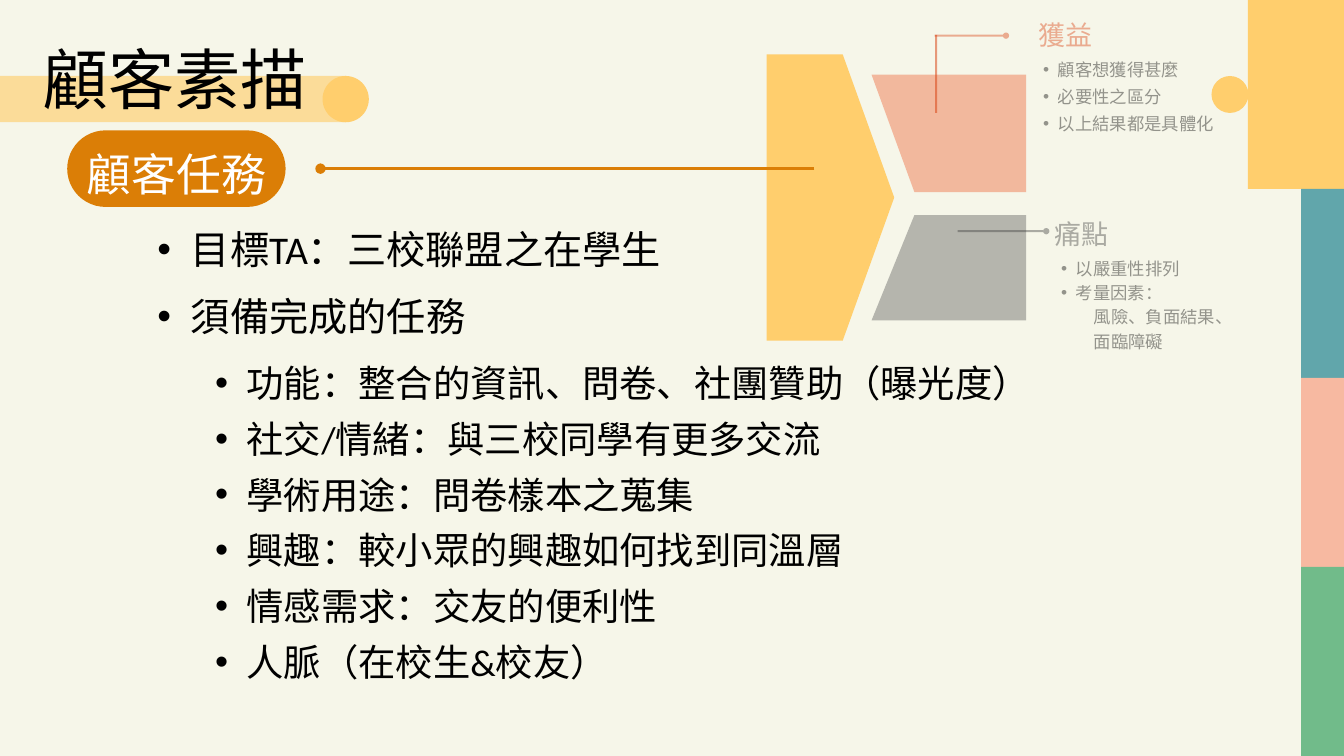
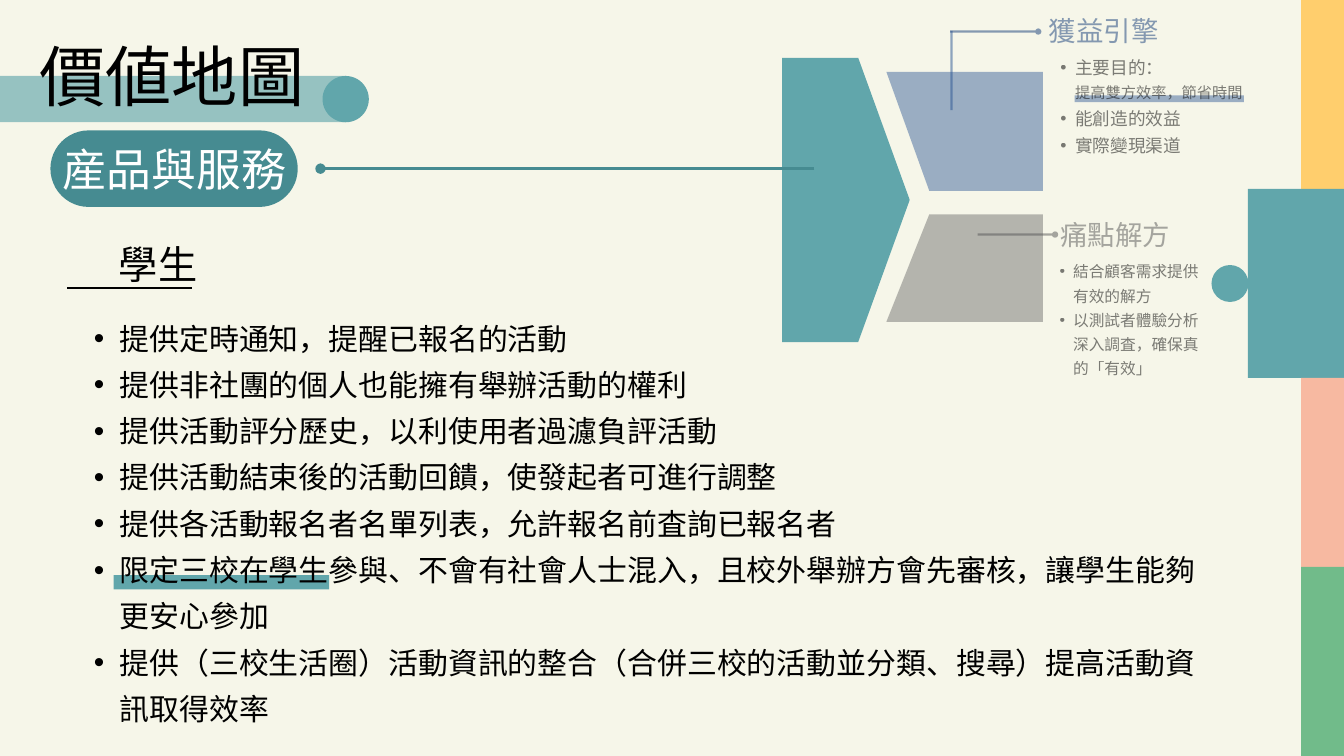
from pptx import Presentation
from pptx.dml.color import RGBColor
from pptx.enum.shapes import MSO_CONNECTOR, MSO_SHAPE
from pptx.enum.text import MSO_ANCHOR, MSO_AUTO_SIZE, PP_ALIGN
from pptx.oxml.ns import qn
from pptx.util import Pt
from lxml.etree import SubElement

WIDE, HIGH = 1440, 810
HEX = {
    "cream": "F6F6E9", "gold": "FFCE6D", "teal": "61A6AB", "rose": "F7B9A1",
    "green": "71BB8A", "black": "000000", "white": "FFFFFF", "amber": "DB7E06",
    "deep": "468B91", "coral": "ED5B2D", "rust": "D83B0A", "coal": "383838",
    "slate": "545454", "grey": "737373", "blue": "3F659D", "navy": "133C79",
    "royal": "255192",
}
TABS = ["gold", "teal", "rose", "green"]
FRAME = {
    "word_wrap": True, "auto_size": MSO_AUTO_SIZE.NONE,
    "vertical_anchor": MSO_ANCHOR.TOP,
    "margin_left": 0, "margin_right": 0, "margin_top": 0, "margin_bottom": 0,
}
PLAIN = {"size": 32, "color": "black", "alpha": 100, "lead": None,
         "align": PP_ALIGN.LEFT, "left": 0, "hang": 0}
TITLE = {"size": 70.9, "lead": 87.2, "align": PP_ALIGN.CENTER}


def apply(item, values):
    for name, value in values.items():
        setattr(item, name, value)


def rgb(name):
    return RGBColor.from_string(HEX[name])


def fade(node, alpha):
    if alpha < 100:
        for color in node.iter(qn("a:srgbClr")):
            SubElement(color, qn("a:alpha"), val=str(alpha * 1000))


def paint(shape, color, alpha=100):
    shape.shadow.inherit = False
    shape.line.fill.background()
    shape.fill.solid()
    shape.fill.fore_color.rgb = rgb(color)
    fade(shape.element.spPr, alpha)
    return shape


def block(slide, kind, box, color, alpha=100):
    shape = slide.shapes.add_shape(kind, *map(Pt, box))
    return paint(shape, color, alpha)


def shard(slide, points, color, alpha=100):
    spots = [(Pt(x), Pt(y)) for x, y in points]
    pen = slide.shapes.build_freeform(*spots[0])
    pen.add_line_segments(spots[1:], close=True)
    paint(pen.convert_to_shape(), color, alpha)


def wedge(slide, left, top, base, color):
    neck, tip = left + 81.4, left + 136.6
    shard(slide, [(left, top), (neck, top), (tip, (top + base) / 2),
                  (neck, base), (left, base)], color)


def flank(slide, left, right, outer, inner, color, alpha):
    shard(slide, [(left, outer), (right, outer), (right, inner),
                  (left + 46, inner)], color, alpha)


def rule(slide, start, end, color, width=2.25, alpha=100, dot=False):
    line = slide.shapes.add_connector(
        MSO_CONNECTOR.STRAIGHT, *map(Pt, start + end))
    line.line.width = Pt(width)
    line.line.color.rgb = rgb(color)
    props = line.element.spPr
    fade(props, alpha)
    if dot:
        SubElement(props.find(qn("a:ln")), qn("a:tailEnd"), type="oval")
    SubElement(props, qn("a:effectLst"))


def write(frame, lines, style):
    apply(frame, FRAME)
    for index, line in enumerate(lines):
        text, extra = line if isinstance(line, tuple) else (line, {})
        look = {**PLAIN, **style, **extra}
        para = frame.paragraphs[0] if index == 0 else frame.add_paragraph()
        props = para._p.get_or_add_pPr()
        props.set("marL", str(Pt(look["left"])))
        props.set("indent", str(-Pt(look["hang"])))
        if look["hang"]:
            SubElement(props, qn("a:buFont"), typeface="Arial")
            SubElement(props, qn("a:buChar"), char="•")
        apply(para, {"alignment": look["align"], "space_before": Pt(0)})
        if look["lead"]:
            para.line_spacing = Pt(look["lead"])
        run = para.add_run()
        run.text = text
        apply(run.font, {"name": "Calibri", "size": Pt(look["size"])})
        run.font.color.rgb = rgb(look["color"])
        fade(run._r, look["alpha"])


def note(slide, box, lines, **style):
    shape = slide.shapes.add_textbox(*map(Pt, box))
    write(shape.text_frame, lines, style)


def fill(shape, box, lines, **style):
    apply(shape, dict(zip(("left", "top", "width", "height"), map(Pt, box))))
    write(shape.text_frame, lines, style)
    shape.element.getparent().append(shape.element)


def head(slide, box, text, **style):
    note(slide, box, [text], align=PP_ALIGN.CENTER, **style)


def side(slide, active):
    step = HIGH / len(TABS)
    for index, color in enumerate(TABS):
        left = 1337 if index == active else 1394
        block(slide, MSO_SHAPE.RECTANGLE,
              (left, index * step, WIDE - left, step), color)
    block(slide, MSO_SHAPE.OVAL,
          (1298, (active + 0.5) * step - 19.8, 39.6, 39.6), TABS[active])


def band(slide, color):
    block(slide, MSO_SHAPE.RECTANGLE, (0, 81.4, 370.8, 49.4), color, 64)
    block(slide, MSO_SHAPE.OVAL, (345.6, 81.4, 49.6, 49.6), color)


def pill(slide, left, width, text, color, lead=None):
    rule(slide, (872.6, 180.7), (343.4, 180.7), color, 3.75, dot=True)
    shape = block(slide, MSO_SHAPE.ROUNDED_RECTANGLE,
                  (left, 139.7, width, 82), color)
    shape.adjustments[0] = 0.5
    write(shape.text_frame, [text],
          {"size": 48, "color": "white", "align": PP_ALIGN.CENTER, "lead": lead})
    shape.text_frame.vertical_anchor = MSO_ANCHOR.MIDDLE


def start(deck, active):
    slide = deck.slides.add_slide(deck.slide_layouts[1])
    side(slide, active)
    band(slide, TABS[active])
    return slide


def persona(deck):
    slide = start(deck, 0)
    fill(slide.placeholders[1], (196.6, 373.7, 945.4, 355.7), [
        "功能：整合的資訊、問卷、社團贊助（曝光度）",
        "社交/情緒：與三校同學有更多交流",
        "學術用途：問卷樣本之蒐集",
        "興趣：較小眾的興趣如何找到同溫層",
        "情感需求：交友的便利性",
        "人脈（在校生&校友）",
    ], size=40, lead=59.9, left=67.7, hang=33.8)
    note(slide, (133.2, 220.3, 601.2, 137.5),
         ["目標TA：三校聯盟之在學生", "須備完成的任務"],
         size=42, lead=71.8, left=71.3, hang=36)
    flank(slide, 933.8, 1099.4, 343.4, 230.4, "slate", 40)
    flank(slide, 933.8, 1099.4, 79.9, 205.9, "coral", 40)
    rule(slide, (1001.5, 38.2), (1077.8, 38.2), "rust", alpha=40, dot=True)
    rule(slide, (1003, 37.4), (1003, 121), "rust", alpha=50)
    rule(slide, (1026, 247.7), (1121, 247.7), "coal", alpha=40, dot=True)
    label = {"size": 28.9, "lead": 35.6, "alpha": 40}
    small = {"size": 18.6, "alpha": 40, "left": 31.7, "hang": 15.8}
    head(slide, (1101.6, 18.7, 80.6, 36.7), "獲益", color="rust", **label)
    note(slide, (1101.6, 56.9, 214.6, 85.7),
         ["顧客想獲得甚麼", "必要性之區分", "以上結果都是具體化"],
         lead=28.8, **small)
    head(slide, (1121, 231.8, 75.6, 36.7), "痛點", color="coal", **label)
    inner = {"left": 51, "hang": 0}
    note(slide, (1121, 272.9, 216, 103.7),
         ["以嚴重性排列", "考量因素：",
          ("風險、負面結果、", inner), ("面臨障礙", inner)],
         lead=26, **small)
    wedge(slide, 821.5, 58.3, 365, "gold")
    pill(slide, 72, 234, "顧客任務", "amber", 67.2)
    fill(slide.shapes.title, (25.9, 38.9, 322.6, 139.7), ["顧客素描"], **TITLE)


def value(deck):
    slide = start(deck, 1)
    wedge(slide, 838.1, 61.9, 366.5, "teal")
    pill(slide, 54, 265, "産品與服務", "deep")
    flank(slide, 949.7, 1117.4, 344.9, 229.7, "grey", 50)
    flank(slide, 949.7, 1117.4, 77, 204.5, "blue", 50)
    rule(slide, (1018, 33.8), (1112.4, 33.8), "navy", alpha=50, dot=True)
    rule(slide, (1019.5, 33.1), (1019.5, 118), "royal", alpha=50)
    rule(slide, (1047.6, 251.3), (1130.4, 251.3), "slate", alpha=50, dot=True)
    block(slide, MSO_SHAPE.RECTANGLE, (1151.3, 102.2, 181.4, 7.2), "blue", 50)
    fill(slide.shapes.title, (23, 35.3, 322.6, 139.7), ["價値地圖"], **TITLE)
    label = {"size": 29.4, "lead": 36.2, "alpha": 50}
    head(slide, (1119.6, 13.7, 126, 38.2), "獲益引擎", color="navy", **label)
    note(slide, (1119.6, 54, 218.2, 112.3), [
        "主要目的：",
        ("提高雙方效率，節省時間", {"size": 16.3, "lead": 25.2, "hang": 0}),
        "能創造的效益",
        "實際變現渠道",
    ], size=18.9, lead=29.3, alpha=50, left=32.4, hang=15.8)
    head(slide, (1130.4, 232.6, 128.9, 38.2), "痛點解方", color="slate", **label)
    note(slide, (1121, 275, 177.8, 129.6),
         ["結合顧客需求提供有效的解方",
          "以測試者體驗分析深入調査，確保真的「有效」"],
         size=16.8, lead=26, alpha=50, left=28.8, hang=14.4)
    rule(slide, (72, 308.9), (205.9, 308.9), "black")
    head(slide, (127.4, 249.1, 84.2, 87.8), "學生", size=42, lead=58.8)
    block(slide, MSO_SHAPE.RECTANGLE, (121.7, 616.3, 231, 15.1), "teal")
    fill(slide.placeholders[1], (73.4, 331.9, 1225.4, 445), [
        "提供定時通知，提醒已報名的活動",
        "提供非社團的個人也能擁有舉辦活動的權利",
        "提供活動評分歷史，以利使用者過濾負評活動",
        "提供活動結束後的活動回饋，使發起者可進行調整",
        "提供各活動報名者名單列表，允許報名前査詢已報名者",
        "限定三校在學生參與、不會有社會人士混入，且校外舉辦方會先審核，讓學生能夠更安心參加",
        "提供（三校生活圈）活動資訊的整合（合併三校的活動並分類、搜尋）提高活動資訊取得效率",
    ], lead=49.6, left=54.7, hang=27.4)


def main():
    deck = Presentation()
    apply(deck, {"slide_width": Pt(WIDE), "slide_height": Pt(HIGH)})
    back = deck.slide_master.background.fill
    back.solid()
    back.fore_color.rgb = rgb("cream")
    persona(deck)
    value(deck)
    deck.save("out.pptx")


if __name__ == "__main__":
    main()
